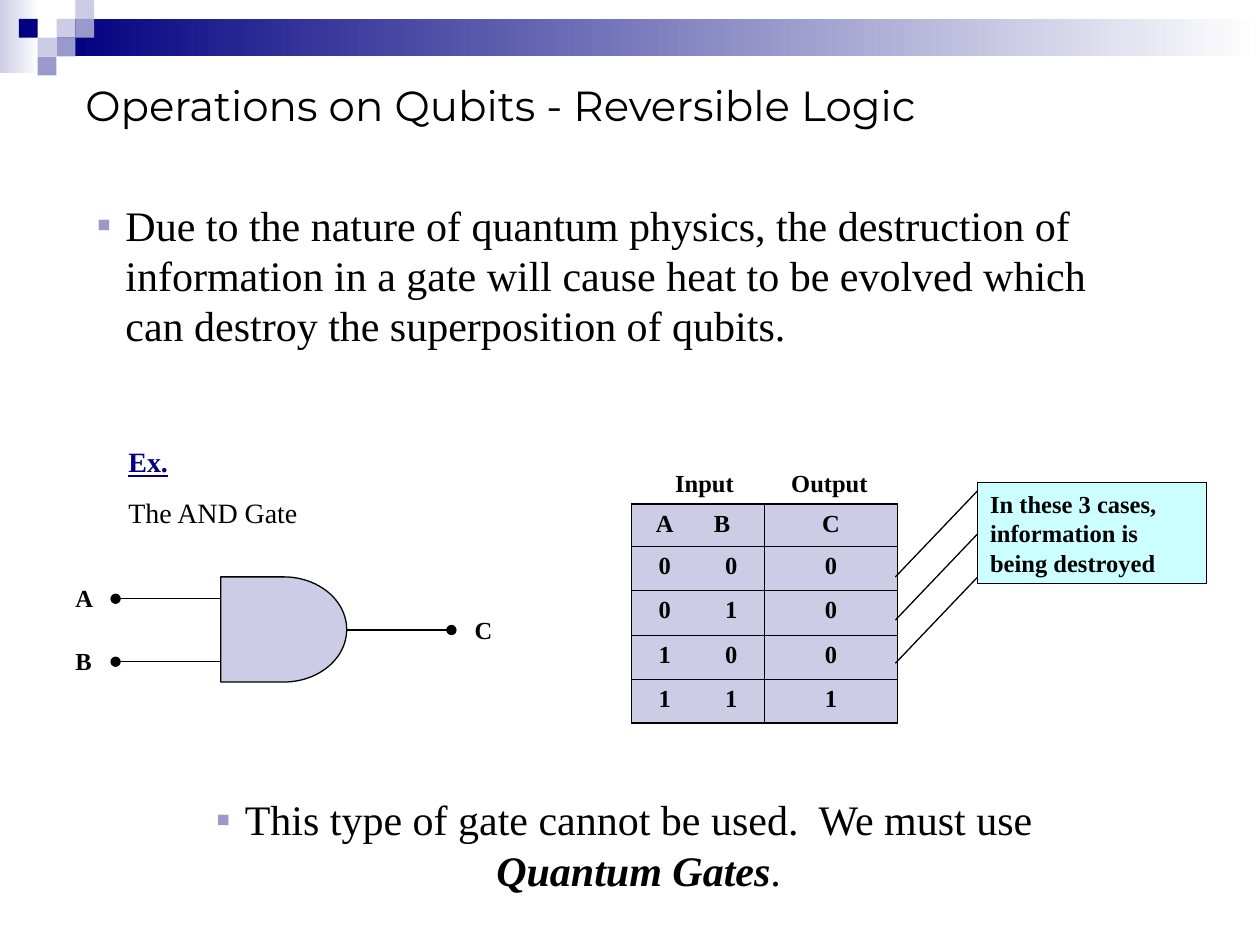
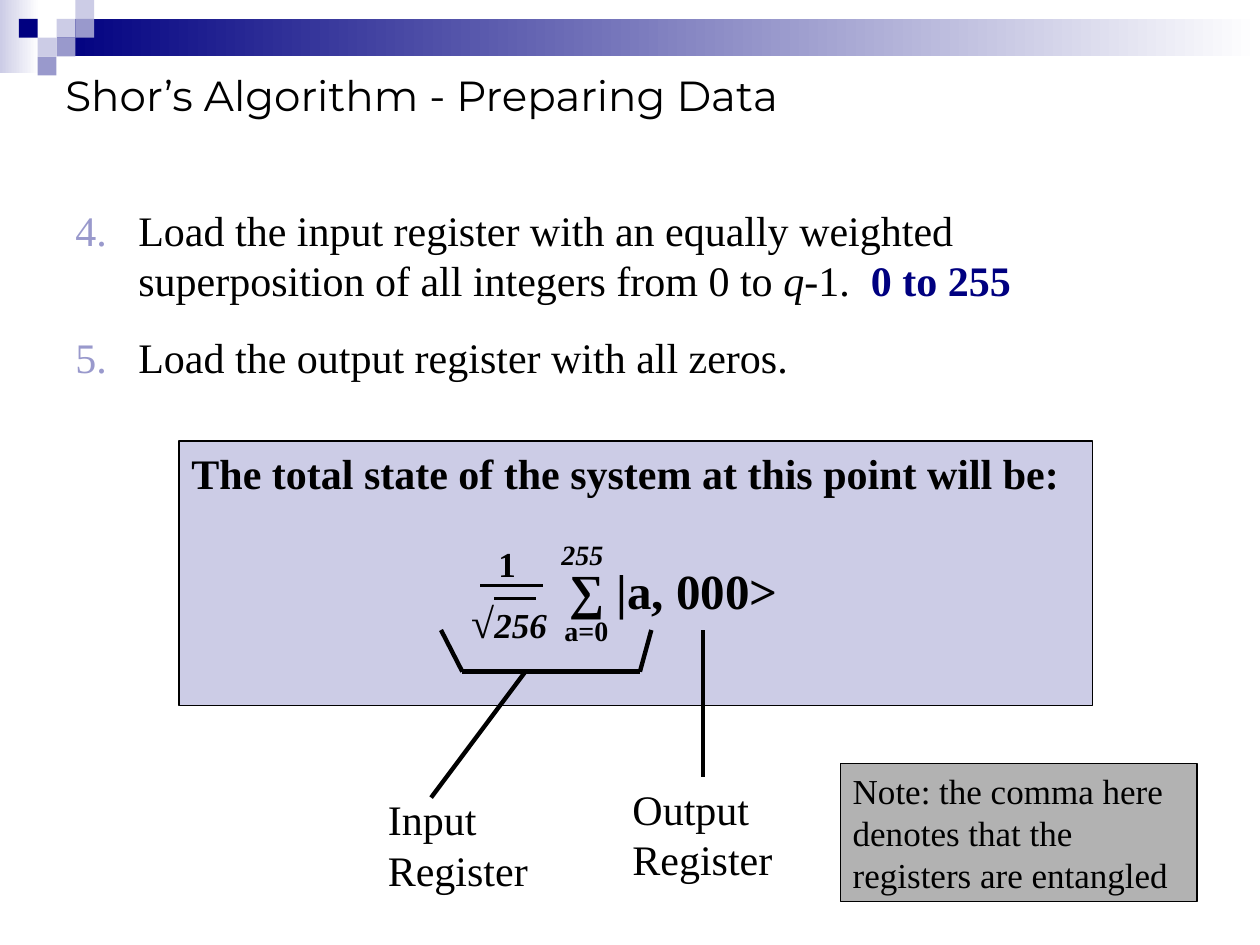
"""Builds two slides on quantum computing: reversible logic and data preparation."""
from lxml import etree
from pptx import Presentation
from pptx.dml.color import RGBColor
from pptx.enum.shapes import MSO_CONNECTOR, MSO_SHAPE
from pptx.enum.text import MSO_ANCHOR, PP_ALIGN
from pptx.oxml.ns import qn
from pptx.util import Cm, Pt

RECTANGLE = MSO_SHAPE.RECTANGLE
DELAY = MSO_SHAPE.FLOWCHART_DELAY
STRAIGHT = MSO_CONNECTOR.STRAIGHT
LEFT, CENTER = PP_ALIGN.LEFT, PP_ALIGN.CENTER
TOP, MIDDLE = MSO_ANCHOR.TOP, MSO_ANCHOR.MIDDLE

WHITE, BLACK, NAVY = "FFFFFF", "000000", "000080"
LAVENDER, VIOLET, CYAN, GREY = "CCCCE6", "9999CC", "CCFFFF", "B2B2B2"
BODY_FONT, TITLE_FONT = "Times New Roman", "Montserrat"
THIN, MEDIUM, THICK = 0.74, 1.76, 2.49
CELL_LINE, TABLE_EDGE = 0.45, 1.08
UNIT = 0.38  # side of one square in the header pattern
SQUARES = [(3, 1, LAVENDER), (4, 0, LAVENDER), (4, 1, VIOLET), (2, 2, LAVENDER),
           (1, 1, NAVY), (3, 2, VIOLET), (2, 3, VIOLET)]
SQUARE_BULLET = {"indent": 0.58, "tag": "a:buChar", "values": {"char": "▪"}}
NUMBER_FROM_4 = {"indent": 1.27, "tag": "a:buAutoNum",
                 "values": {"type": "arabicPeriod", "startAt": "4"}}


def color(value):
    """Turn a hex string into a colour."""
    return RGBColor.from_string(value)


def add_xml(parent, tag, **values):
    """Append an element with attributes and return it."""
    return etree.SubElement(parent, qn(tag), values)


def add_bullet(para, bullet):
    """Give a paragraph a hanging bullet or number."""
    props = para._p.get_or_add_pPr()
    indent = Cm(bullet["indent"])
    props.set("marL", str(indent))
    props.set("indent", str(-indent))
    add_xml(add_xml(props, "a:buClr"), "a:srgbClr", val=VIOLET)
    add_xml(props, "a:buFont", typeface=BODY_FONT)
    add_xml(props, bullet["tag"], **bullet["values"])


def write(frame, paragraphs, size, align=LEFT, anchor=TOP, before=0, bullet=None, **base):
    """Fill a text frame; a paragraph is a string or a list of (text, format) spans."""
    frame.word_wrap = True
    frame.vertical_anchor = anchor
    for index, spans in enumerate(paragraphs):
        para = frame.paragraphs[0] if index == 0 else frame.add_paragraph()
        para.alignment = align
        para.space_before = Pt(before)
        if bullet:
            add_bullet(para, bullet)
        for text, extra in [(spans, {})] if isinstance(spans, str) else spans:
            span = para.add_run()
            span.text = text
            values = {"name": BODY_FONT, "color": BLACK, **base, **extra}
            values["size"] = Pt(extra.get("size", size))
            span.font.color.rgb = color(values.pop("color"))
            for name, value in values.items():
                setattr(span.font, name, value)


def add_text(page, place, paragraphs, size, **options):
    """Add a text box; place is left, top, width, height in cm."""
    box = page.shapes.add_textbox(*map(Cm, place))
    write(box.text_frame, paragraphs, size, **options)


def add_block(page, place, fill, kind=RECTANGLE, line=None):
    """Add a preset shape; a tuple of two colours makes a gradient."""
    block = page.shapes.add_shape(kind, *map(Cm, place))
    block.shadow.inherit = False
    if isinstance(fill, tuple):
        block.fill.gradient()
        block.fill.gradient_angle = 180
        for stop, value in zip(block.fill.gradient_stops, fill):
            stop.color.rgb = color(value)
    else:
        block.fill.solid()
        block.fill.fore_color.rgb = color(fill)
    if line:
        block.line.color.rgb = color(BLACK)
        block.line.width = Pt(line)
    else:
        block.line.fill.background()
    return block


def add_panel(page, place, fill, text, size, **options):
    """Add an outlined rectangle with text."""
    panel = add_block(page, place, fill, line=THIN)
    write(panel.text_frame, [text], size, **options)


def add_line(page, start, end, width, dot=False):
    """Add a straight black line, with a dot at its end if asked."""
    line = page.shapes.add_connector(STRAIGHT, *map(Cm, start + end))
    line.line.color.rgb = color(BLACK)
    line.line.width = Pt(width)
    if dot:
        add_xml(line.line._get_or_add_ln(), "a:tailEnd", type="oval")
    add_xml(line._element.spPr, "a:effectLst")


def set_borders(cell, widths):
    """Set the left, right, top and bottom borders; None means no line."""
    props = cell._tc.get_or_add_tcPr()
    for side, width in zip("LRTB", widths):
        border = add_xml(props, f"a:ln{side}", w=str(Pt(width or 0)))
        if width:
            add_xml(add_xml(border, "a:solidFill"), "a:srgbClr", val=BLACK)
        else:
            add_xml(border, "a:noFill")


def add_truth_table(page, left, top, columns, heights, rows):
    """Add the truth table, with the two inputs under one outline."""
    frame = page.shapes.add_table(len(rows), len(columns), Cm(left), Cm(top),
                                  Cm(sum(columns)), Cm(sum(heights)))
    table = frame.table
    table.first_row = table.horz_banding = False
    for column, width in zip(table.columns, columns):
        column.width = Cm(width)
    sides = [(CELL_LINE, None), (None, CELL_LINE), (CELL_LINE, TABLE_EDGE)]
    last = len(rows) - 1
    for row, (height, texts) in enumerate(zip(heights, rows)):
        table.rows[row].height = Cm(height)
        upper = TABLE_EDGE if row == 0 else CELL_LINE
        lower = TABLE_EDGE if row == last else CELL_LINE
        for column, text in enumerate(texts):
            cell = table.cell(row, column)
            set_borders(cell, sides[column] + (upper, lower))
            cell.fill.solid()
            cell.fill.fore_color.rgb = color(LAVENDER)
            write(cell.text_frame, [text], 14, align=CENTER, bold=True)
    table.cell(0, 1).margin_right = Cm(0.62)  # the B heading sits left of centre


def add_page(deck, title, left, top):
    """Add a blank page with the header pattern and a title."""
    page = deck.slides.add_slide(deck.slide_layouts[6])
    add_block(page, (0, 0, 0.79, 1.47), (WHITE, LAVENDER))
    add_block(page, (3 * UNIT, UNIT, 25.4 - 3 * UNIT, 2 * UNIT), (WHITE, NAVY))
    for column, row, fill in SQUARES:
        add_block(page, (column * UNIT, row * UNIT, UNIT, UNIT), fill)
    add_text(page, (left, top, 22.86, 1.27), [title], 24, anchor=MIDDLE, name=TITLE_FONT)
    return page


def add_and_gate(page):
    """Draw the AND gate with its two inputs and its output."""
    add_block(page, (4.45, 11.63, 2.54, 2.12), LAVENDER, DELAY, THIN)
    for y in (12.07, 13.34):
        add_line(page, (4.45, y), (2.33, y), THIN, dot=True)
    add_line(page, (6.99, 12.7), (9.1, 12.7), THIN, dot=True)
    for text, left, top in [("A", 1.27, 11.63), ("B", 1.27, 12.9), ("C", 9.32, 12.27)]:
        add_text(page, (left, top, 0.84, 0.86), [text], 14, bold=True)


def build_reversible_logic(deck):
    """Build the page on reversible logic."""
    page = add_page(deck, "Operations on Qubits - Reversible Logic", 1.47, 1.47)
    add_text(page, (1.7, 3.89, 21.39, 3.3),
             ["Due to the nature of quantum physics, the destruction of information in a "
              "gate will cause heat to be evolved which can destroy the superposition of "
              "qubits."], 24, before=15, bullet=SQUARE_BULLET)
    add_text(page, (2.34, 8.84, 4.24, 1.96),
             [[("Ex.", {"bold": True, "underline": True, "color": NAVY})], "The AND Gate"],
             16, before=10)
    add_and_gate(page)
    add_text(page, (13.36, 9.32, 1.85, 0.86), ["Input"], 14, bold=True)
    add_text(page, (15.7, 9.32, 2.34, 0.86), ["Output"], 14, bold=True)
    add_truth_table(page, 12.73, 10.16, [1.34, 1.34, 2.68], [0.86] + [0.89] * 4,
                    ["ABC", "000", "010", "100", "111"])
    for case in range(3):
        y = 11.63 + 0.87 * case
        add_line(page, (18.05, y), (19.7, y - 1.73), THIN)
    add_panel(page, (19.71, 9.73, 4.62, 2.03), CYAN,
              "In these 3 cases, information is being destroyed", 14, bold=True)
    add_text(page, (2.74, 15.88, 19.69, 2.29),
             [[("This type of gate cannot be used.  We must use ", {}),
               ("Quantum Gates", {"bold": True, "italic": True}), (".", {})]],
             24, align=CENTER, before=15, bullet=SQUARE_BULLET)


def add_state_formula(page):
    """Write the formula of the total state from text and rules."""
    add_line(page, (9.68, 11.81), (10.95, 11.81), MEDIUM)
    add_line(page, (9.96, 12.07), (10.8, 12.07), MEDIUM)
    root = [("√", {"size": 24}), ("256", {"italic": True})]
    upper = [("255", {"italic": True})]
    for place, text, size in [((9.8, 10.82, 0.84, 1.12), "1", 20),
                              ((9.25, 11.91, 2.62, 1.27), root, 20),
                              ((11.23, 11.18, 5.28, 1.45), "∑ |a, 000>", 28),
                              ((11.13, 12.24, 1.47, 0.94), "a=0", 16),
                              ((11.07, 10.72, 1.47, 0.94), upper, 16)]:
        add_text(page, place, [text], size, bold=True)


def build_preparing_data(deck):
    """Build the page on preparing the registers."""
    page = add_page(deck, "Shor’s Algorithm - Preparing Data", 1.07, 1.27)
    add_text(page, (1.27, 3.99, 22.66, 3.84),
             [[("Load the input register with an equally weighted superposition of all "
                "integers from 0 to ", {}), ("q", {"italic": True}), ("-1.  ", {}),
               ("0 to 255", {"bold": True, "color": NAVY})],
              "Load the output register with all zeros."],
             24, before=15, bullet=NUMBER_FROM_4)
    add_panel(page, (3.61, 8.89, 18.42, 5.33), LAVENDER,
              "The total state of the system at this point will be:", 24, bold=True)
    add_state_formula(page)
    for start, end in [((9.32, 13.54), (12.9, 13.54)), ((12.9, 13.54), (13.13, 12.7)),
                       ((9.32, 13.54), (8.89, 12.7)), ((10.59, 13.54), (8.69, 16.08)),
                       ((14.17, 12.7), (14.17, 15.67))]:
        add_line(page, start, end, THICK)
    add_text(page, (7.57, 15.88, 3.43, 2.29), ["Input Register"], 24)
    add_text(page, (12.5, 15.67, 3.43, 2.29), ["Output Register"], 24)
    add_panel(page, (16.94, 15.39, 7.19, 2.79), GREY,
              "Note: the comma here denotes that the registers are entangled", 20)


def main():
    """Build and save the deck."""
    deck = Presentation()
    deck.slide_width, deck.slide_height = Cm(25.4), Cm(19.05)
    build_reversible_logic(deck)
    build_preparing_data(deck)
    deck.save("out.pptx")


main()
